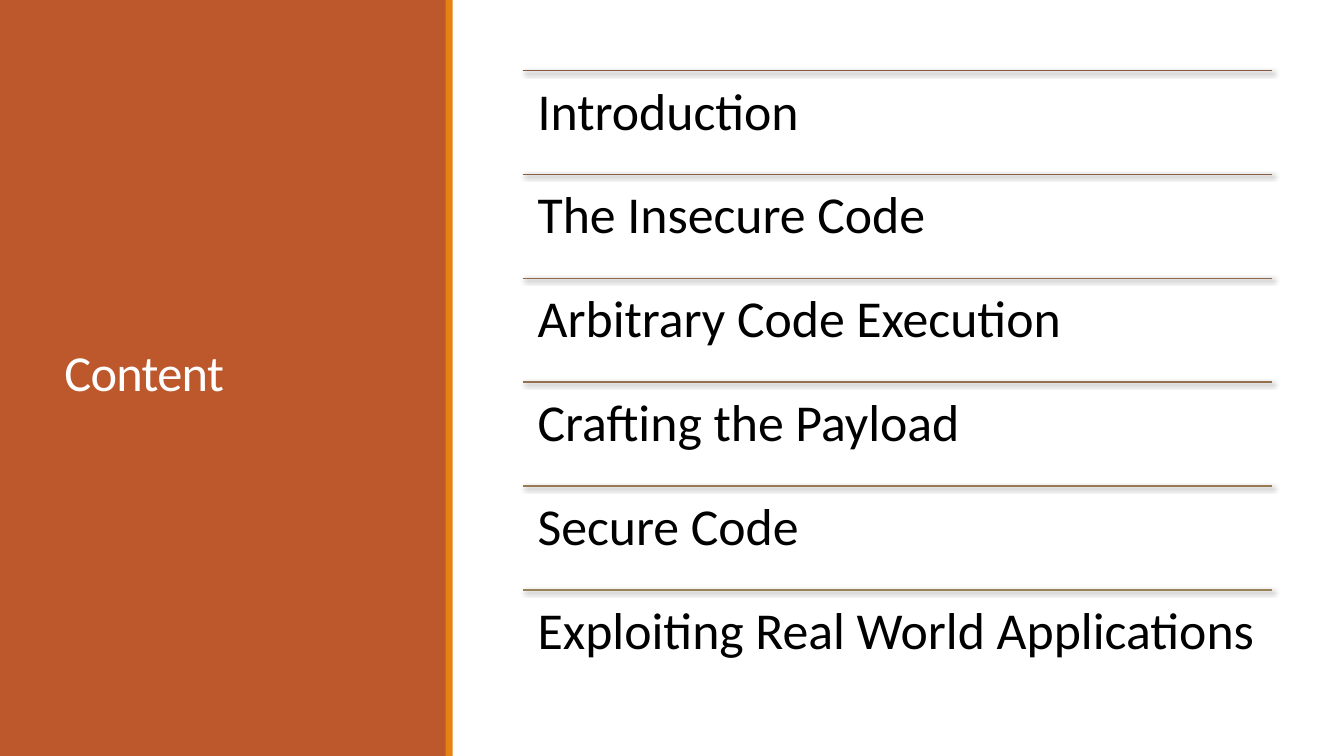
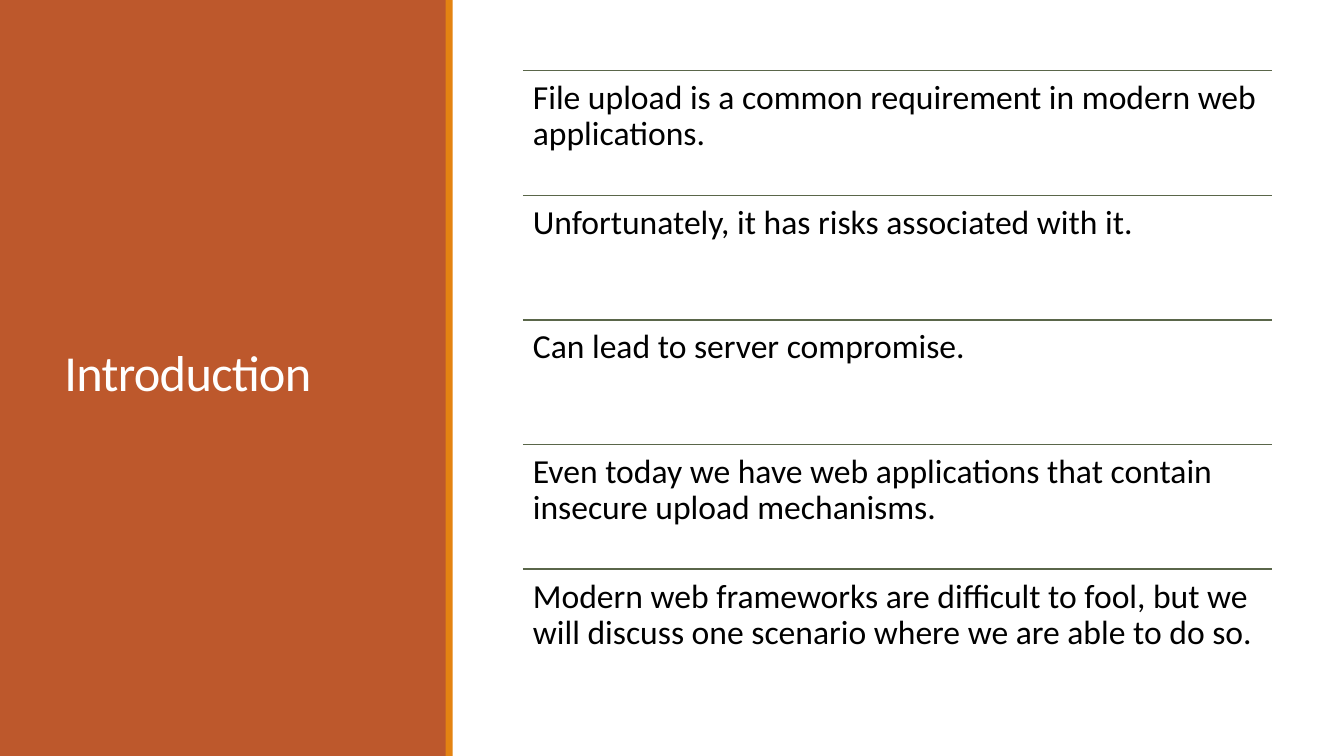
import pptx
import pptx.dml.color
import pptx.enum.shapes
import pptx.enum.text
import pptx.oxml
import pptx.oxml.ns
import pptx.util

Cm = pptx.util.Cm
Pt = pptx.util.Pt

COLOURS = {
    "panel": "BD582C",
    "stripe": "E48312",
    "title": "FFFFFF",
    "text": "000000",
    "rule_first": "865640",
    "rule_last": "9B8357",
    "rule_plain": "5A664A",
    "shadow": "000000",
}
FONT = "Calibri"
SLIDE_WIDTH, SLIDE_HEIGHT = Cm(33.87), Cm(19.05)
PANEL_BOX = (Cm(0), Cm(0), Cm(11.25), SLIDE_HEIGHT)
STRIPE_WIDTH = Cm(0.18)
TITLE_BOX = (Cm(1.37), Cm(1.45), Cm(8.56), Cm(16.03))
ROWS_BOX = (Cm(13.18), Cm(1.78), Cm(18.87), Cm(15.7))

TITLE_FRAME = {
    "word_wrap": True,
    "auto_size": pptx.enum.text.MSO_AUTO_SIZE.NONE,
    "vertical_anchor": pptx.enum.text.MSO_ANCHOR.MIDDLE,
}
ROW_FRAME = {
    "word_wrap": True,
    "auto_size": pptx.enum.text.MSO_AUTO_SIZE.NONE,
    "vertical_anchor": pptx.enum.text.MSO_ANCHOR.TOP,
}
MARGINS = ("margin_left", "margin_top", "margin_right", "margin_bottom")
TITLE_PARAGRAPH = {"alignment": pptx.enum.text.PP_ALIGN.LEFT, "line_spacing": 0.85}
ROW_PARAGRAPH = {"alignment": pptx.enum.text.PP_ALIGN.LEFT, "line_spacing": 0.9}

AGENDA = [
    "Introduction",
    "The Insecure Code",
    "Arbitrary Code Execution",
    "Crafting the Payload",
    "Secure Code",
    "Exploiting Real World Applications",
]
UPLOAD_RISKS = [
    "File upload is a common requirement in modern web applications.",
    "Unfortunately, it has risks associated with it.",
    "Can lead to server compromise.",
    "Even today we have web applications that contain insecure upload mechanisms.",
    "Modern web frameworks are difficult to fool, but we will discuss one scenario "
    "where we are able to do so.",
]


def rgb(name):
    """Return the named colour."""
    return pptx.dml.color.RGBColor.from_string(COLOURS[name])


def blend(first, last, share):
    """Return the colour lying at a share of the way between two named colours."""
    return pptx.dml.color.RGBColor(
        *(round(a + (b - a) * share) for a, b in zip(rgb(first), rgb(last)))
    )


def apply(target, values):
    """Set each format value on the target."""
    for name, value in values.items():
        setattr(target, name, value)


def write(frame, text, frame_format, paragraph_format, size, colour):
    """Fill a text frame with one formatted paragraph and return its run."""
    apply(frame, frame_format)
    paragraph = frame.paragraphs[0]
    apply(paragraph, paragraph_format)
    run = paragraph.add_run()
    run.text = text
    apply(run.font, {"name": FONT, "size": Pt(size)})
    run.font.color.rgb = rgb(colour)
    return run


def add_band(slide, box, colour):
    """Draw a plain filled rectangle."""
    band = slide.shapes.add_shape(pptx.enum.shapes.MSO_SHAPE.RECTANGLE, *box)
    band.shadow.inherit = False
    band.fill.solid()
    band.fill.fore_color.rgb = rgb(colour)
    band.line.fill.background()


def add_title_panel(slide, box, heading):
    """Draw the side panel with its stripe and set the title on it."""
    left, top, width, height = box
    add_band(slide, box, "panel")
    add_band(slide, (left + width - Cm(0.02), top, STRIPE_WIDTH, height), "stripe")
    title = slide.shapes.title
    slide.shapes.element.append(title.element)
    title_left, title_top, title_width, title_height = TITLE_BOX
    apply(title, {
        "left": left + title_left,
        "top": top + title_top,
        "width": title_width,
        "height": title_height,
    })
    run = write(title.text_frame, heading, TITLE_FRAME, TITLE_PARAGRAPH, 36, "title")
    run.font._element.set("spc", "-50")


def add_rule(slide, left, top, width, colour, shadowed):
    """Draw a horizontal rule, with or without a soft shadow."""
    rule = slide.shapes.add_connector(
        pptx.enum.shapes.MSO_CONNECTOR.STRAIGHT, left, top, left + width, top
    )
    rule.line.width = Pt(1)
    rule.line.color.rgb = colour
    shadow = (
        f'<a:outerShdw blurRad="{Pt(3.5)}" dist="{Pt(2)}" dir="2700000" rotWithShape="0">'
        f'<a:srgbClr val="{COLOURS["shadow"]}"><a:alpha val="60000"/></a:srgbClr>'
        "</a:outerShdw>"
    ) if shadowed else ""
    namespace = pptx.oxml.ns.nsdecls("a")
    rule.element.spPr.append(
        pptx.oxml.parse_xml(f"<a:effectLst {namespace}>{shadow}</a:effectLst>")
    )


def add_ruled_rows(slide, box, rows, size, margin, rule_ends, shadowed):
    """Stack equal text rows in the box, each under a rule."""
    left, top, width, height = box
    row_height = height / len(rows)
    row_frame = ROW_FRAME | dict.fromkeys(MARGINS, margin)
    for index, text in enumerate(rows):
        row_top = round(top + index * row_height)
        colour = blend(*rule_ends, index / (len(rows) - 1))
        add_rule(slide, left, row_top, width, colour, shadowed)
        row = slide.shapes.add_textbox(left, row_top, width, round(row_height))
        write(row.text_frame, text, row_frame, ROW_PARAGRAPH, size, "text")


def add_panel_slide(deck, heading, rows, **row_style):
    """Add a slide with a title panel on the left and ruled rows on the right."""
    slide = deck.slides.add_slide(deck.slide_layouts.get_by_name("Title Only"))
    add_title_panel(slide, PANEL_BOX, heading)
    add_ruled_rows(slide, ROWS_BOX, rows, **row_style)


def main():
    """Build and save the deck."""
    deck = pptx.Presentation()
    apply(deck, {"slide_width": SLIDE_WIDTH, "slide_height": SLIDE_HEIGHT})
    add_panel_slide(
        deck, "Content", AGENDA, size=37, margin=Cm(0.37),
        rule_ends=("rule_first", "rule_last"), shadowed=True,
    )
    add_panel_slide(
        deck, "Introduction", UPLOAD_RISKS, size=24, margin=Cm(0.25),
        rule_ends=("rule_plain", "rule_plain"), shadowed=False,
    )
    deck.save("out.pptx")


if __name__ == "__main__":
    main()
